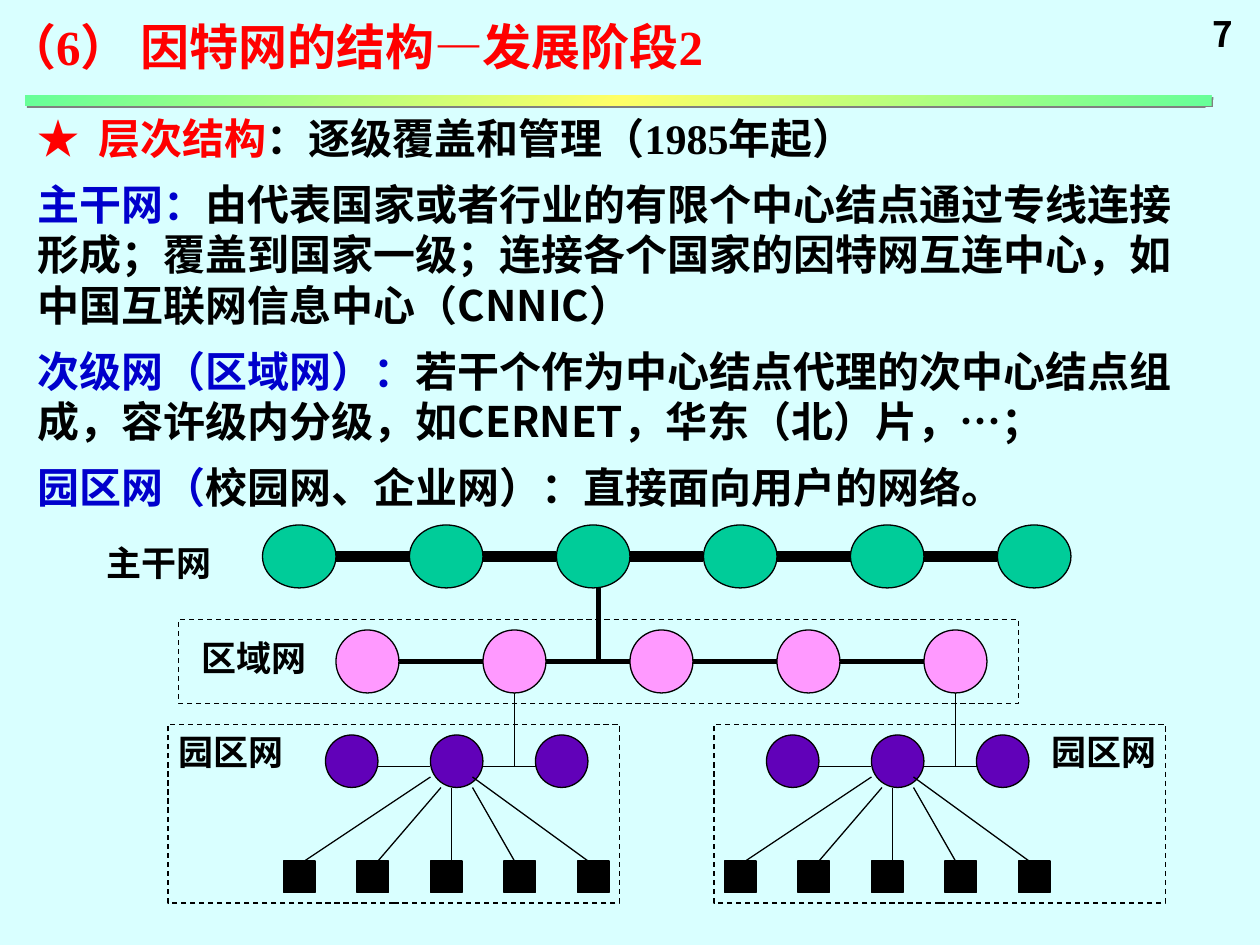
from lxml.etree import SubElement
from pptx import Presentation
from pptx.dml.color import RGBColor
from pptx.enum.dml import MSO_LINE
from pptx.enum.shapes import MSO_CONNECTOR, MSO_SHAPE
from pptx.oxml import parse_xml
from pptx.oxml.ns import nsdecls, qn
from pptx.util import Pt

SANS, SERIF = "Noto Sans CJK SC", "Times New Roman"
RED, BLUE, BLACK = "FF0000", "0000CC", "000000"
rgb = RGBColor.from_string

deck = Presentation()
deck.slide_width, deck.slide_height = Pt(720), Pt(540)
slide = deck.slides.add_slide(deck.slide_layouts[6])
slide.background.fill.solid()
slide.background.fill.fore_color.rgb = rgb("D9FFFF")
shapes = slide.shapes


def write(x, y, w, h, size, paras, wrap=False):
    """Add bold text; each paragraph is a list of (text, colour, font) runs."""
    box = shapes.add_textbox(Pt(x), Pt(y), Pt(w), Pt(h))
    frame = box.text_frame
    frame.word_wrap = wrap
    if not wrap:
        frame.margin_right = 0
    for i, runs in enumerate(paras):
        para = frame.add_paragraph() if i else frame.paragraphs[0]
        para.line_spacing = Pt(round(1.2 * size, 1))
        para.space_after = Pt(9 if wrap else 0)
        for text, color, face in runs:
            run = para.add_run()
            run.text = text
            font = run.font
            font.size, font.bold, font.name = Pt(size), True, face
            font.color.rgb = rgb(color)
            SubElement(font._element, qn("a:ea")).set("typeface", SANS)


def draw(kind, x, y, w, h, color=None):
    """Add an outlined shape; without a fill colour its outline is dashed."""
    shape = shapes.add_shape(kind, Pt(x), Pt(y), Pt(w), Pt(h))
    shape.shadow.inherit = False
    shape.line.color.rgb = rgb(BLACK)
    shape.line.width = Pt(0.75)
    if color:
        shape.fill.solid()
        shape.fill.fore_color.rgb = rgb(color)
    else:
        shape.fill.background()
        shape.line.dash_style = MSO_LINE.DASH
    return shape


# Heading and body
write(-3, 6, 440, 41, 28, [[("（6） 因特网的结构—发展阶段2", RED, SERIF)]])
write(14.4, 60.5, 686, 236, 24, [
    [("★  层次结构", RED, SERIF),
     ("：逐级覆盖和管理（1985年起）", BLACK, SERIF)],
    [("主干网：", BLUE, SANS),
     ("由代表国家或者行业的有限个中心结点通过专线连接形成；"
      "覆盖到国家一级；连接各个国家的因特网互连中心，"
      "如中国互联网信息中心（CNNIC）", BLACK, SANS)],
    [("次级网（区域网）：", BLUE, SANS),
     ("若干个作为中心结点代理的次中心结点组成，容许级内分级，"
      "如CERNET，华东（北）片，…；", BLACK, SANS)],
    [("园区网（", BLUE, SANS),
     ("校园网、企业网）：直接面向用户的网络。", BLACK, SANS)],
], wrap=True)

# Nodes, and the lines (x1, y1, x2, y2, width) between them
lines = [(342, 336, 342, 378, 3)]
for i in range(6):
    x = 150 + 84 * i
    draw(MSO_SHAPE.OVAL, x, 300, 42, 36, "00CC99")
    if i < 5:
        lines.append((x + 42, 318, x + 84, 318, 6))
for i in range(5):
    x = 192 + 84 * i
    draw(MSO_SHAPE.OVAL, x, 360, 36, 36, "FF99FF")
    if i < 4:
        lines.append((x + 36, 378, x + 84, 378, 3))

for left in (186, 438):
    for i in range(3):
        x = left + 60 * i
        draw(MSO_SHAPE.OVAL, x, 420, 30, 30, "6101B9")
        if i < 2:
            lines.append((x + 30, 438, x + 60, 438, 0.75))
    for i in range(5):
        draw(MSO_SHAPE.RECTANGLE, left - 24 + 42 * i, 492, 18, 18, BLACK)
    fan = [(60, 444, -12), (66, 450, 30), (72, 450, 72),
           (84, 450, 108), (84, 444, 150)]
    for top, y, foot in fan:
        lines.append((left + top, y, left + foot, 492, 0.75))
    lines.append((left + 108, 396, left + 108, 438, 0.75))

for x1, y1, x2, y2, width in lines:
    link = shapes.add_connector(
        MSO_CONNECTOR.STRAIGHT, Pt(x1), Pt(y1), Pt(x2), Pt(y2))
    link.line.color.rgb = rgb(BLACK)
    link.line.width = Pt(width)
    SubElement(link._element.spPr, qn("a:effectLst"))

# Dashed frames and labels
for x, y, w, h in [(96, 414, 258, 102), (102, 354, 480, 48),
                   (408, 414, 258, 102)]:
    draw(MSO_SHAPE.RECTANGLE, x, y, w, h)
for text, x, y in [("主干网", 54, 306), ("区域网", 108, 360),
                   ("园区网", 95, 414), ("园区网", 594, 414)]:
    write(x, y, 74, 32, 20, [[(text, BLACK, SERIF)]])

# Gradient rule under the heading
rule = draw(MSO_SHAPE.RECTANGLE, 14.4, 54.5, 678, 6, "66FF99")
rule.line.fill.background()
props = rule._element.spPr
stops = "".join(
    f'<a:gs pos="{pos}"><a:srgbClr val="{color}"/></a:gs>'
    for pos, color in [(0, "66FF99"), (50000, "FFFF66"), (100000, "66FF99")])
props.replace(props.find(qn("a:solidFill")), parse_xml(
    f'<a:gradFill {nsdecls("a")}><a:gsLst>{stops}</a:gsLst>'
    '<a:lin ang="13500000" scaled="1"/></a:gradFill>'))
props.replace(props.find(qn("a:effectLst")), parse_xml(
    f'<a:effectLst {nsdecls("a")}><a:outerShdw dist="17780" dir="2700000">'
    '<a:srgbClr val="808080"/></a:outerShdw></a:effectLst>'))

write(686, 3.6, 26, 32, 20, [[("7", BLACK, SANS)]])

deck.save("out.pptx")
